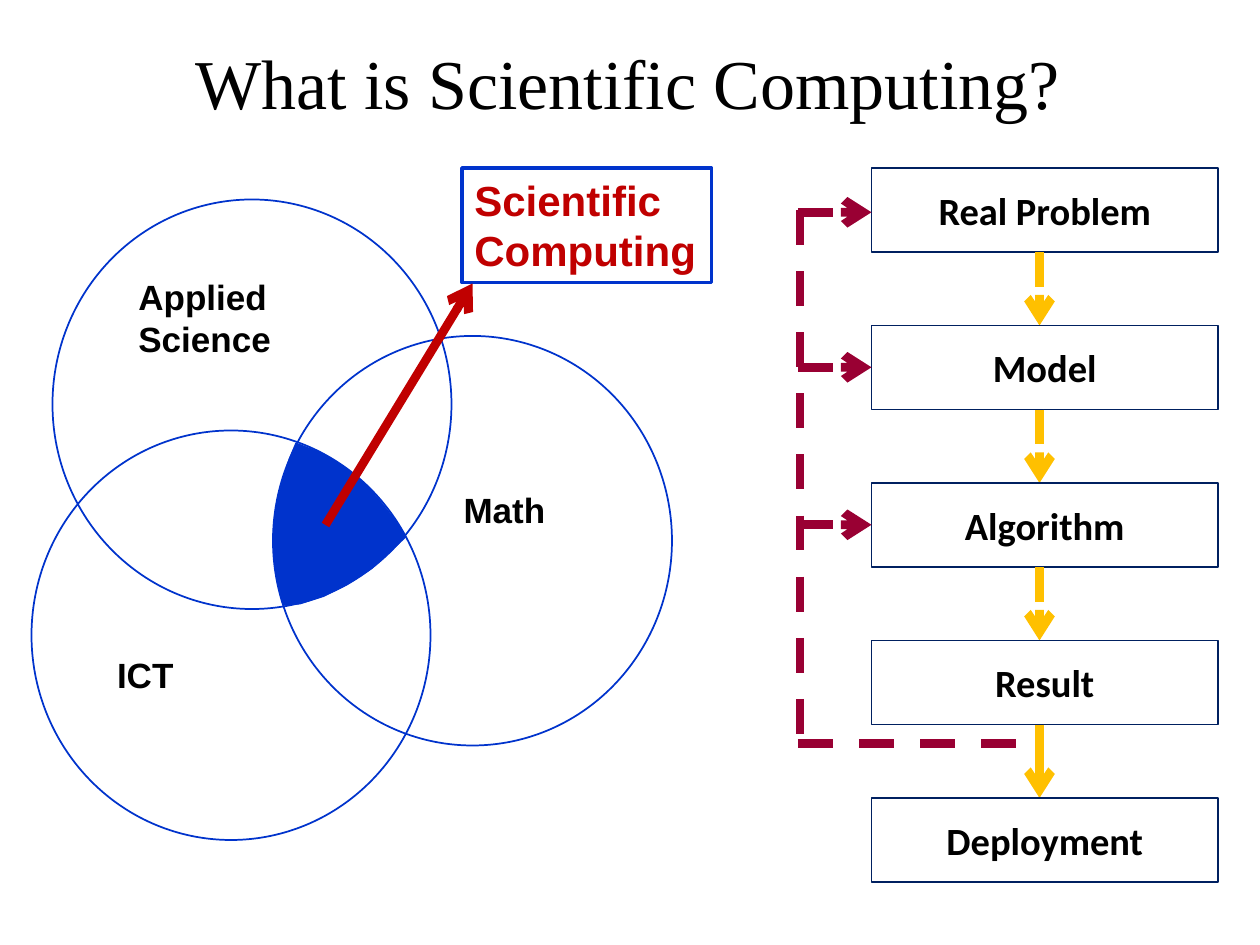
"""Build a slide that explains scientific computing with a Venn diagram and a workflow."""
from lxml import etree
from pptx import Presentation
from pptx.dml.color import RGBColor
from pptx.enum.dml import MSO_LINE
from pptx.enum.shapes import MSO_CONNECTOR, MSO_SHAPE
from pptx.enum.text import MSO_ANCHOR, MSO_AUTO_SIZE, PP_ALIGN
from pptx.oxml.ns import qn
from pptx.util import Pt

STRAIGHT = MSO_CONNECTOR.STRAIGHT
OVAL, RECTANGLE = MSO_SHAPE.OVAL, MSO_SHAPE.RECTANGLE
DASH = MSO_LINE.DASH
LEFT, CENTER = PP_ALIGN.LEFT, PP_ALIGN.CENTER
TOP, MIDDLE = MSO_ANCHOR.TOP, MSO_ANCHOR.MIDDLE
FIT_SHAPE = MSO_AUTO_SIZE.SHAPE_TO_FIT_TEXT

COLORS = {
    "text": "000000",
    "venn": "0033CC",
    "step": "002060",
    "flow": "FFC000",
    "feedback": "990033",
    "highlight": "C00000",
}

CIRCLES = [(30, 114), (18, 246), (156, 192)]
CIRCLE_SIZE = (228, 234)
FIELDS = [
    ("Applied Science", 72, 154, 55.4),
    ("ICT", 59.8, 370, 31.7),
    ("Math", 257.8, 275.8, 31.7),
]
OVERLAP = [
    (169.2, 253.4), (182.2, 258.5), (193.7, 265), (205.2, 273.6), (216, 285.1),
    (224.6, 295.9), (231.8, 306.7), (222.5, 315.4), (212.4, 324.7), (198, 334.1),
    (185, 340.6), (171.4, 344.9), (162, 345.6), (158.4, 331.9), (157, 319),
    (156.2, 306), (157.7, 291.6), (161.3, 275.8), (165.6, 262.1),
]

STEPS = ["Real Problem", "Model", "Algorithm", "Result", "Deployment"]
STEP_LEFT, STEP_TOP, STEP_WIDTH, STEP_HEIGHT, STEP_PITCH = 498, 96, 198, 48, 90
FLOW_X = 594
FEEDBACK_LEFT, FEEDBACK_RAIL, FEEDBACK_BOTTOM = 456, 457.2, 424.8
FEEDBACK_ENTRIES = [121.3, 209.9, 299.9]


def rgb(name):
    """Return the named palette colour."""
    return RGBColor.from_string(COLORS[name])


def write(shape, text, font, size, color="text", bold=True, align=LEFT, anchor=TOP):
    """Put one formatted paragraph into a shape and return the paragraph."""
    frame = shape.text_frame
    frame.word_wrap = True
    frame.vertical_anchor = anchor
    paragraph = frame.paragraphs[0]
    paragraph.text = text
    paragraph.alignment = align
    style = paragraph.runs[0].font
    style.name, style.size, style.bold = font, Pt(size), bold
    style.color.rgb = rgb(color)
    return paragraph


def add_label(slide, text, box, font, size, **style):
    """Add a text box and return its paragraph."""
    label = slide.shapes.add_textbox(*map(Pt, box))
    return write(label, text, font, size, **style)


def add_outline(slide, kind, box, color, weight=1):
    """Add an unfilled preset shape with a coloured outline."""
    outline = slide.shapes.add_shape(kind, *map(Pt, box))
    outline.shadow.inherit = False
    outline.fill.background()
    outline.line.color.rgb = rgb(color)
    outline.line.width = Pt(weight)
    return outline


def add_line(slide, start, end, color, dashed=True, arrow=True):
    """Add a thick straight connector, optionally dashed and with an arrowhead."""
    connector = slide.shapes.add_connector(STRAIGHT, *map(Pt, start + end))
    connector.line.color.rgb = rgb(color)
    connector.line.width = Pt(5)
    if dashed:
        connector.line.dash_style = DASH
    properties = connector.line._get_or_add_ln()
    if arrow:
        etree.SubElement(properties, qn("a:tailEnd"), type="arrow")
    etree.SubElement(properties.getparent(), qn("a:effectLst"))


def add_overlap(slide):
    """Fill the area that the three circles share."""
    corners = [(Pt(x), Pt(y)) for x, y in OVERLAP]
    builder = slide.shapes.build_freeform(*corners[0], scale=1.0)
    builder.add_line_segments(corners[1:], close=True)
    overlap = builder.convert_to_shape()
    overlap.shadow.inherit = False
    overlap.fill.solid()
    overlap.fill.fore_color.rgb = rgb("venn")
    overlap.line.color.rgb = rgb("venn")
    overlap.line.width = Pt(1)


def add_workflow(slide):
    """Add the column of steps with an arrow from each to the next."""
    for index, step in enumerate(STEPS):
        top = STEP_TOP + index * STEP_PITCH
        box = (STEP_LEFT, top, STEP_WIDTH, STEP_HEIGHT)
        outline = add_outline(slide, RECTANGLE, box, "step")
        write(outline, step, "Calibri", 22, align=CENTER, anchor=MIDDLE)
        if index < len(STEPS) - 1:
            add_line(slide, (FLOW_X, top + STEP_HEIGHT), (FLOW_X, top + STEP_PITCH),
                     "flow", dashed=index < len(STEPS) - 2)


def add_feedback(slide):
    """Add the dashed loop that leads from the result back to earlier steps."""
    for y in FEEDBACK_ENTRIES:
        add_line(slide, (FEEDBACK_LEFT, y), (STEP_LEFT, y), "feedback")
    add_line(slide, (FEEDBACK_LEFT, FEEDBACK_BOTTOM), (FLOW_X, FEEDBACK_BOTTOM),
             "feedback", arrow=False)
    add_line(slide, (FEEDBACK_RAIL, 120), (FEEDBACK_RAIL, 426), "feedback", arrow=False)


def add_venn_labels(slide):
    """Name the three fields and point from their overlap to its name."""
    for field, left, top, height in FIELDS:
        add_label(slide, field, (left, top, 114, height), "Arial", 20)
    callout = add_outline(slide, RECTANGLE, (264, 96, 142.6, 65.4), "venn", 2)
    write(callout, "Scientific Computing", "Arial", 24, color="highlight")
    callout.text_frame.auto_size = FIT_SHAPE
    add_overlap(slide)
    add_line(slide, (186, 300), (270, 162), "highlight", dashed=False)


def main():
    """Build and save the slide."""
    deck = Presentation()
    deck.slide_width, deck.slide_height = Pt(720), Pt(540)
    slide = deck.slides.add_slide(deck.slide_layouts[6])
    title = add_label(slide, "What is Scientific Computing?", (21, 21.6, 675.4, 56.2),
                      "Times New Roman", 40, bold=False, align=CENTER, anchor=MIDDLE)
    title.line_spacing = 0.9
    for corner in CIRCLES:
        add_outline(slide, OVAL, corner + CIRCLE_SIZE, "venn")
    add_workflow(slide)
    add_feedback(slide)
    add_venn_labels(slide)
    deck.save("out.pptx")


if __name__ == "__main__":
    main()
